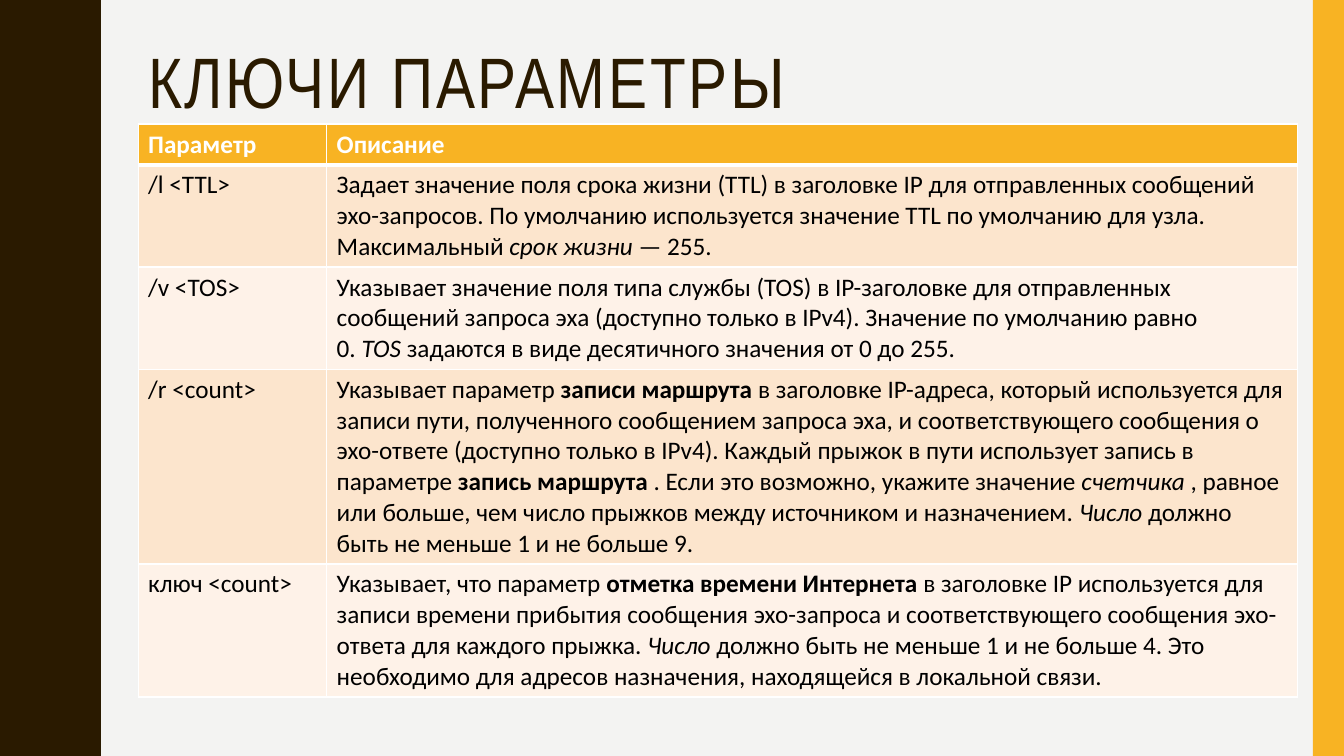
from lxml import etree
from pptx import Presentation, util as u
from pptx.dml.color import RGBColor
from pptx.enum import shapes, text
from pptx.oxml import ns

# Content: a tuple is an emphasised run (text, style)
TITLE = "КЛЮЧИ ПАРАМЕТРЫ"
HEADER = ("Параметр", "Описание")
# (key, number of text lines, runs of the description)
KEYS = [
    ("/l <TTL>", 3, [
        "Задает значение поля срока жизни (TTL) в заголовке IP для отправленных сообщений "
        "эхо-запросов. По умолчанию используется значение TTL по умолчанию для узла. Максимальный",
        ("срок жизни", "italic"), "— 255."]),
    ("/v <TOS>", 3, [
        "Указывает значение поля типа службы (TOS) в IP-заголовке для отправленных сообщений "
        "запроса эха (доступно только в IPv4). Значение по умолчанию равно 0.",
        ("TOS", "italic"), "задаются в виде десятичного значения от 0 до 255."]),
    ("/r <count>", 6, [
        "Указывает параметр", ("записи маршрута", "bold"),
        "в заголовке IP-адреса, который используется для записи пути, полученного сообщением "
        "запроса эха, и соответствующего сообщения о эхо-ответе (доступно только в IPv4). "
        "Каждый прыжок в пути использует запись в параметре",
        ("запись маршрута", "bold"), ". Если это возможно, укажите значение",
        ("счетчика", "italic"),
        ", равное или больше, чем число прыжков между источником и назначением.",
        ("Число", "italic"), "должно быть не меньше 1 и не больше 9."]),
    ("ключ <count>", 4, [
        "Указывает, что параметр", ("отметка времени Интернета", "bold"),
        "в заголовке IP используется для записи времени прибытия сообщения эхо-запроса и "
        "соответствующего сообщения эхо-ответа для каждого прыжка.",
        ("Число", "italic"),
        "должно быть не меньше 1 и не больше 4. Это необходимо для адресов назначения, "
        "находящейся в локальной связи."]),
]

BACK = RGBColor(0xF3, 0xF3, 0xF2)
BROWN = RGBColor(0x2A, 0x1A, 0x00)
AMBER = RGBColor(0xF8, 0xB3, 0x23)
BANDS = RGBColor(0xFC, 0xE5, 0xCD), RGBColor(0xFE, 0xF2, 0xE8)
WHITE = RGBColor(0xFF, 0xFF, 0xFF)
BLACK = RGBColor(0, 0, 0)

# Layout in inches
W, H = 13.33, 7.5
LEFT, TABLE_TOP = 1.37, 1.23
COLS = 1.87, 9.63
LINE, CELL_PAD = 0.305, 0.1
STRIPE = 0.31
# Half a wave, trough to crest, as (x, y); each wave mirrors it
WAVE = 1.5
HALF = [(0.78, 0), (0.78, 0.07), (0.79, 0.14), (0.8, 0.2), (0.81, 0.25), (0.83, 0.29),
        (0.85, 0.33), (0.87, 0.38), (0.89, 0.42), (0.91, 0.46), (0.93, 0.5), (0.95, 0.55),
        (0.96, 0.61), (0.97, 0.68), (0.97, 0.75)]
NBSP = chr(160)


def add_run(p, txt, font="Calibri", size=18, color=BLACK, bold=False, italic=False, spacing=0):
    r = p.add_run()
    r.text = txt
    f = r.font
    f.name, f.size, f.bold, f.italic = font, u.Pt(size), bold, italic
    f.color.rgb = color
    if spacing:
        r._r.get_or_add_rPr().set("spc", str(spacing * 100))


def paint(sp, color):
    sp.shadow.inherit = False
    sp.fill.solid()
    sp.fill.fore_color.rgb = color
    sp.line.fill.background()


def format_cell(cell, color, top=1, bottom=1):
    cell.fill.solid()
    cell.fill.fore_color.rgb = color
    tcPr = cell._tc.get_or_add_tcPr()
    for i, (side, pt) in enumerate((("L", 1), ("R", 1), ("T", top), ("B", bottom))):
        ln = etree.Element(ns.qn("a:ln" + side), w=str(u.Pt(pt)))
        fill = etree.SubElement(ln, ns.qn("a:solidFill"))
        etree.SubElement(fill, ns.qn("a:srgbClr"), val=str(WHITE))
        tcPr.insert(i, ln)


prs = Presentation()
prs.slide_width, prs.slide_height = u.Inches(W), u.Inches(H)
s = prs.slides.add_slide(prs.slide_layouts[6])
s.background.fill.solid()
s.background.fill.fore_color.rgb = BACK

# Wavy left edge
wave = HALF + [(x, WAVE - y) for x, y in HALF[-2::-1]]
edge = [(x, y + n * WAVE) for n in range(round(H / WAVE)) for x, y in wave]
fb = s.shapes.build_freeform(0, 0, scale=u.Inches(1))
fb.add_line_segments(edge + [(0, H)], close=True)
paint(fb.convert_to_shape(), BROWN)

# Right stripe
paint(s.shapes.add_shape(shapes.MSO_SHAPE.RECTANGLE, u.Inches(W - STRIPE), 0,
                         u.Inches(STRIPE), u.Inches(H)), AMBER)

# Title
tf = s.shapes.add_textbox(u.Inches(LEFT), u.Inches(0.42), u.Inches(11.13), u.Inches(1.63)).text_frame
tf.word_wrap = True
tf.vertical_anchor = text.MSO_ANCHOR.TOP
tf.paragraphs[0].line_spacing = 0.9
add_run(tf.paragraphs[0], TITLE, font="Arial Narrow", size=51, color=BROWN, spacing=2)

# Table of keys: row height follows the number of text lines
heights = [CELL_PAD + LINE * n for n in [1] + [n for _, n, _ in KEYS]]
tbl = s.shapes.add_table(len(heights), len(COLS), u.Inches(LEFT), u.Inches(TABLE_TOP),
                         u.Inches(sum(COLS)), u.Inches(sum(heights))).table
for col, width in zip(tbl.columns, COLS):
    col.width = u.Inches(width)
for row, height in zip(tbl.rows, heights):
    row.height = u.Inches(height)

for c, label in enumerate(HEADER):
    cell = tbl.cell(0, c)
    format_cell(cell, AMBER, bottom=3)
    add_run(cell.text_frame.paragraphs[0], label, color=WHITE, bold=True)

for i, (key, _, runs) in enumerate(KEYS):
    for c, parts in enumerate(([key], runs)):
        cell = tbl.cell(i + 1, c)
        format_cell(cell, BANDS[i % 2], top=1 if i else 3)
        p = cell.text_frame.paragraphs[0]
        for j, part in enumerate(parts):
            if isinstance(part, tuple):
                add_run(p, part[0], **{part[1]: True})
            else:  # hard spaces hold emphasised words to their neighbours
                add_run(p, NBSP * (j > 0) + part + NBSP * (j < len(parts) - 1))

prs.save("out.pptx")
